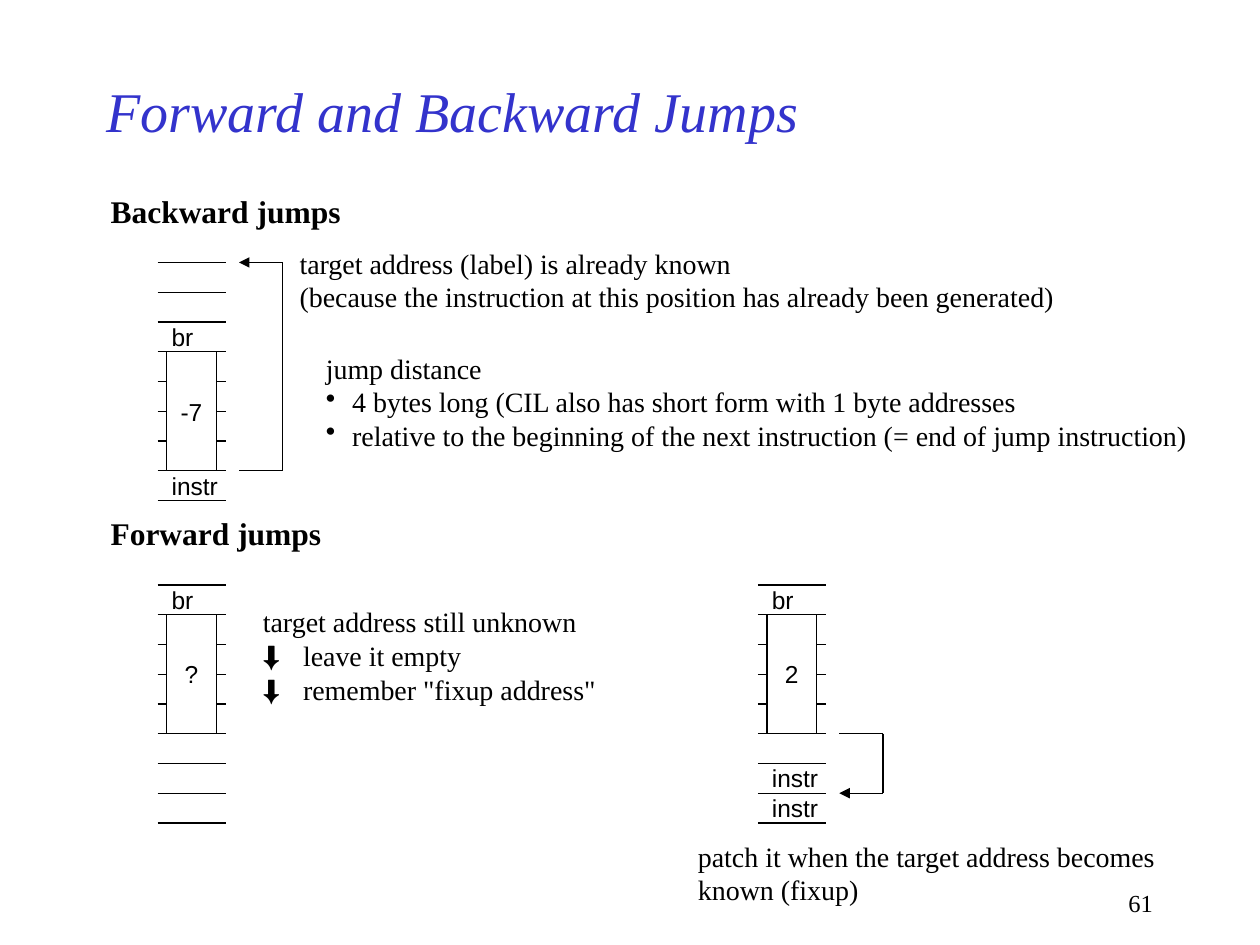
from pptx import Presentation
from pptx.dml.color import RGBColor
from pptx.enum.shapes import MSO_CONNECTOR, MSO_SHAPE
from pptx.enum.text import MSO_ANCHOR, PP_ALIGN
from pptx.oxml.ns import qn
from pptx.util import Cm, Pt
from lxml.etree import SubElement

COLORS = {"title": "3333CC", "ink": "000000", "cell": "FFFFFF"}
SERIF, SANS, SYMBOL = "Times New Roman", "Arial", "Calibri"
ROW = 0.6        # height of one memory cell
TAPE_W = 1.38    # width of the memory tape


def rgb(name):
    return RGBColor.from_string(COLORS[name])


def add_run(p, text, size=16, font=SERIF, color="ink", bold=False, italic=False):
    r = p.add_run()
    r.text = text
    f = r.font
    f.size, f.name, f.bold, f.italic = Pt(size), font, bold, italic
    f.color.rgb = rgb(color)


def add_box(s, x, y, w, h, inset=True, wrap=False):
    tf = s.shapes.add_textbox(Cm(x), Cm(y), Cm(w), Cm(h)).text_frame
    tf.word_wrap = wrap
    if not inset:
        tf.margin_left = tf.margin_right = tf.margin_top = tf.margin_bottom = 0
    return tf


def add_bullet(p):
    pPr = p._p.get_or_add_pPr()
    pPr.set("marL", str(Cm(0.53)))
    pPr.set("indent", str(-Cm(0.53)))
    SubElement(pPr, qn("a:buChar")).set("char", "•")


def add_tab(p, pos):
    tabs = SubElement(p._p.get_or_add_pPr(), qn("a:tabLst"))
    tab = SubElement(tabs, qn("a:tab"))
    tab.set("pos", str(Cm(pos)))
    tab.set("algn", "l")


def add_line(s, x1, y1, x2, y2, arrow=False):
    c = s.shapes.add_connector(MSO_CONNECTOR.STRAIGHT, Cm(x1), Cm(y1), Cm(x2), Cm(y2))
    c.line.color.rgb = rgb("ink")
    c.line.width = Pt(0.75)
    if arrow:
        SubElement(c.line._get_or_add_ln(), qn("a:tailEnd")).set("type", "triangle")
    SubElement(c._element.spPr, qn("a:effectLst"))


def add_note(s, x, y, w, h, lines, marker=None):
    """Lines of text; with a marker, all but the first line carry it."""
    tf = add_box(s, x, y, w, h)
    for i, line in enumerate(lines):
        p = tf.paragraphs[0] if i == 0 else tf.add_paragraph()
        if i and marker == "•":
            add_bullet(p)
        elif i and marker:
            add_tab(p, 0.81)
            add_run(p, marker + "\t", font=SYMBOL)
        add_run(p, line)


def add_heading(s, x, y, text):
    tf = add_box(s, x, y, 6, 1.02, wrap=True)
    add_run(tf.paragraphs[0], text, 18, bold=True)


def add_tape(s, x, y, labels, operand, operand_row):
    """Memory tape of eight cells; the operand covers four of them."""
    for i in range(9):
        add_line(s, x, y + i * ROW, x + TAPE_W, y + i * ROW)
    for row, label in labels.items():
        tf = add_box(s, x + 0.28, y + row * ROW, 1.1, ROW, inset=False)
        add_run(tf.paragraphs[0], label, 14, SANS)
    sp = s.shapes.add_shape(MSO_SHAPE.RECTANGLE, Cm(x + 0.18), Cm(y + operand_row * ROW),
                            Cm(1), Cm(4 * ROW))
    sp.shadow.inherit = False
    sp.fill.solid()
    sp.fill.fore_color.rgb = rgb("cell")
    sp.line.color.rgb = rgb("ink")
    sp.line.width = Pt(0.75)
    tf = sp.text_frame
    tf.margin_left = tf.margin_right = 0
    tf.vertical_anchor = MSO_ANCHOR.MIDDLE
    p = tf.paragraphs[0]
    p.alignment = PP_ALIGN.CENTER
    add_run(p, operand, 14, SANS)


def add_jump(s, x, y, from_row, to_row):
    """Bent arrow to the right of the tape at x, y."""
    near, far = x + 1.64, x + 2.52
    start, end = y + from_row * ROW, y + to_row * ROW
    add_line(s, near, start, far, start)
    add_line(s, far, start, far, end)
    add_line(s, far, end, near, end, arrow=True)


def backward_jumps(s, x, y):
    add_heading(s, x, y, "Backward jumps")
    add_note(s, x + 3.81, y + 1.1, 16.76, 1.63, [
        "target address (label) is already known",
        "(because the instruction at this position has already been generated)"])
    add_note(s, x + 4.34, y + 3.22, 17.86, 2.29, [
        "jump distance",
        "4 bytes long (CIL also has short form with 1 byte addresses",
        "relative to the beginning of the next instruction (= end of jump instruction)"], "•")
    tape = x + 1.2, y + 1.55
    add_tape(s, *tape, {2: "br", 7: "instr"}, "-7", 3)
    add_jump(s, *tape, 7, 0)


def forward_jumps(s, x, y):
    add_heading(s, x, y, "Forward jumps")
    add_note(s, x + 3.07, y + 1.83, 7.21, 2.29, [
        "target address still unknown", "leave it empty", 'remember "fixup address"'], "⬇")
    add_tape(s, x + 1.2, y + 1.55, {0: "br"}, "?", 1)
    patched = x + 13.3, y + 1.55
    add_tape(s, *patched, {0: "br", 6: "instr", 7: "instr"}, "2", 1)
    add_jump(s, *patched, 5, 7)
    add_note(s, x + 11.84, y + 6.55, 9.86, 1.63, [
        "patch it when the target address becomes", "known (fixup)"])


def title(s, x, y, w, h):
    tf = add_box(s, x, y, w, h, wrap=True)
    tf.vertical_anchor = MSO_ANCHOR.MIDDLE
    add_run(tf.paragraphs[0], "Forward and Backward Jumps", 32, color="title", italic=True)


def page_number(s, x, y, w, h):
    p = add_box(s, x, y, w, h, wrap=True).paragraphs[0]
    p.alignment = PP_ALIGN.RIGHT
    add_run(p, "61", 14)


def main():
    prs = Presentation()
    prs.slide_width, prs.slide_height = Cm(25.4), Cm(19.05)
    s = prs.slides.add_slide(prs.slide_layouts[6])
    title(s, 1.9, 1.27, 19.05, 1.9)
    backward_jumps(s, 1.98, 3.74)
    forward_jumps(s, 1.98, 10.24)
    page_number(s, 18.21, 17.78, 5.28, 0.84)
    prs.save("out.pptx")


if __name__ == "__main__":
    main()
